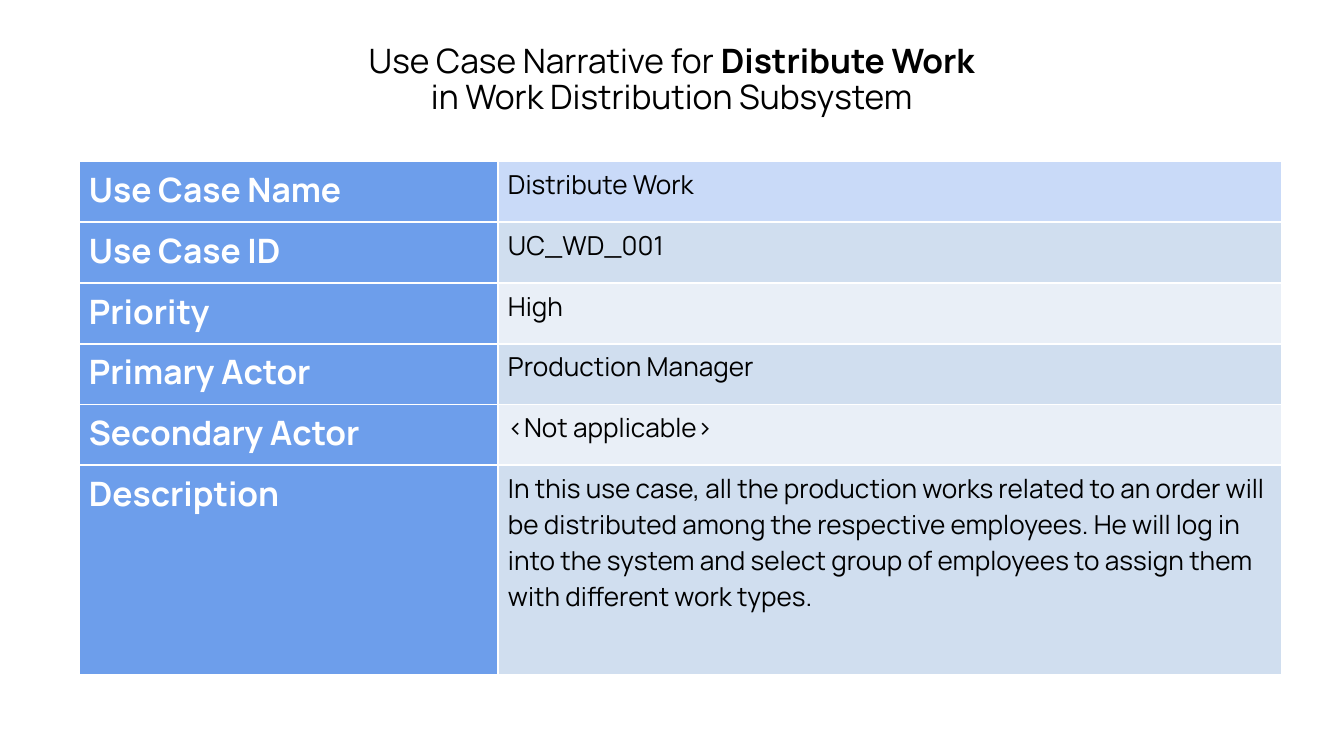
from typing import NamedTuple

from lxml.etree import SubElement
from pptx import Presentation
from pptx.dml.color import RGBColor as Rgb
from pptx.enum.text import MSO_ANCHOR as Anchor, MSO_AUTO_SIZE as AutoSize, PP_ALIGN as Align
from pptx.oxml.ns import qn
from pptx.util import Cm, Pt

FONT = "Manrope"
COLORS = {
    "black": "000000",
    "white": "FFFFFF",
    "label": "6D9EEB",
    "first": "C9DAF8",
    "dark band": "D0DEEF",
    "light band": "E9EFF7",
}
COLUMN_WIDTHS = (7.92, 14.81)
ROW_HEIGHT = 1.15
DESCRIPTION_HEIGHT = 3.96


class Field(NamedTuple):
    label: str
    value: str
    height: float = ROW_HEIGHT


FIELDS = [
    Field("Use Case Name", "Distribute Work"),
    Field("Use Case ID", "UC_WD_001"),
    Field("Priority", "High"),
    Field("Primary Actor", "Production Manager"),
    Field("Secondary Actor", "<Not applicable>"),
    Field(
        "Description",
        "In this use case, all the production works related to an order will be "
        "distributed among the respective employees. He will log in into the system "
        "and select group of employees to assign them with different work types.",
        DESCRIPTION_HEIGHT,
    ),
]


def add_span(para, text: str, size: float, color: str, bold: bool = False) -> None:
    span = para.add_run()
    span.text = text
    span.font.name = FONT
    span.font.size = Pt(size)
    span.font.bold = bold
    span.font.color.rgb = Rgb.from_string(COLORS[color])


def set_margins(target, side: float) -> None:
    target.margin_left = target.margin_right = Cm(side)
    target.margin_top = target.margin_bottom = Cm(0.1)


def add_borders(cell, color: str, width: float) -> None:
    properties = cell._tc.get_or_add_tcPr()
    for position, side in enumerate(("lnL", "lnR", "lnT", "lnB")):
        line = SubElement(properties, qn(f"a:{side}"), w=str(Pt(width)))
        fill = SubElement(line, qn("a:solidFill"))
        SubElement(fill, qn("a:srgbClr"), val=COLORS[color])
        properties.insert(position, line)  # borders come before the cell fill


def fill_cell(cell, text: str, fill: str, size: float, color: str, bold: bool) -> None:
    set_margins(cell, 0.19)
    cell.vertical_anchor = Anchor.TOP
    cell.fill.solid()
    cell.fill.fore_color.rgb = Rgb.from_string(COLORS[fill])
    add_borders(cell, "white", 1)
    add_span(cell.text_frame.paragraphs[0], text, size, color, bold)


def add_title(page) -> None:
    box = page.shapes.title
    box.left, box.top, box.width, box.height = Cm(2.08), Cm(0.74), Cm(21.23), Cm(1.6)
    frame = box.text_frame
    frame.word_wrap = True
    frame.auto_size = AutoSize.NONE
    frame.vertical_anchor = Anchor.TOP
    set_margins(frame, 0.18)
    first, second = frame.paragraphs[0], frame.add_paragraph()
    for para in (first, second):
        para.alignment = Align.CENTER
        para.line_spacing = 0.9
        para.space_before = Pt(0)
    add_span(first, "Use Case Narrative for ", 18, "black")
    add_span(first, "Distribute Work", 18, "black", bold=True)
    add_span(second, "in Work Distribution Subsystem", 18, "black")


def add_narrative(page, fields: list[Field]) -> None:
    table = page.shapes.add_table(
        len(fields), len(COLUMN_WIDTHS), Cm(1.49), Cm(3.05),
        Cm(sum(COLUMN_WIDTHS)), Cm(sum(field.height for field in fields)),
    ).table
    table.first_row = table.horz_banding = False
    for column, width in zip(table.columns, COLUMN_WIDTHS):
        column.width = Cm(width)
    for index, field in enumerate(fields):
        table.rows[index].height = Cm(field.height)
        band = "dark band" if index % 2 else "light band"
        fill_cell(table.cell(index, 0), field.label, "label", 18, "white", True)
        fill_cell(table.cell(index, 1), field.value, band if index else "first", 14, "black", False)


def main() -> None:
    deck = Presentation()
    deck.slide_width, deck.slide_height = Cm(25.4), Cm(14.29)
    page = deck.slides.add_slide(deck.slide_layouts.get_by_name("Title Only"))
    add_title(page)
    add_narrative(page, FIELDS)
    deck.save("out.pptx")


if __name__ == "__main__":
    main()
